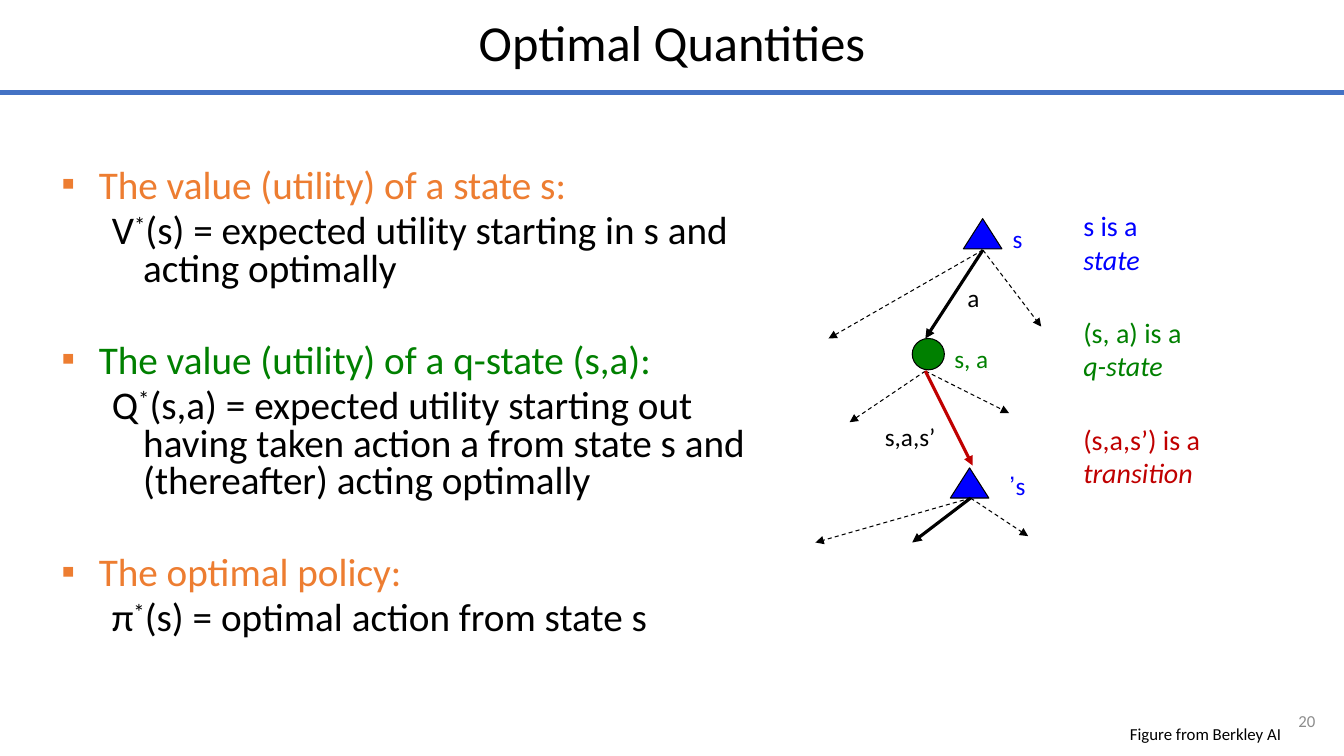
import pptx
import pptx.util
import pptx.dml.color
import pptx.enum.dml
import pptx.enum.shapes
import pptx.enum.text
import pptx.oxml.ns
from lxml import etree

Cm, Pt = pptx.util.Cm, pptx.util.Pt
RGB = pptx.dml.color.RGBColor
Align = pptx.enum.text.PP_ALIGN
Anchor = pptx.enum.text.MSO_ANCHOR
Shape = pptx.enum.shapes.MSO_SHAPE
qn = pptx.oxml.ns.qn

BLACK = RGB(0x00, 0x00, 0x00)
BLUE = RGB(0x00, 0x00, 0xFF)
GREEN = RGB(0x00, 0x80, 0x00)
RED = RGB(0xC0, 0x00, 0x00)
ORANGE = RGB(0xED, 0x7D, 0x31)
RULE = RGB(0x44, 0x72, 0xC4)
GRAY = RGB(0x8C, 0x8C, 0x8C)
FONT = "Calibri"
WIDE, HIGH = 33.87, 19.05

# Heading, its colour, symbol, rest of the definition
TOPICS = [
    ("The value (utility) of a state s:", ORANGE, "V",
     "(s) = expected utility starting in s and acting optimally"),
    ("The value (utility) of a q-state (s,a):", GREEN, "Q",
     "(s,a) = expected utility starting out having taken action a "
     "from state s and (thereafter) acting optimally"),
    ("The optimal policy:", ORANGE, "π", "(s) = optimal action from state s"),
]
# Lead text, term, colour, box width
NOTES = [
    ("s is a ", "state", BLUE, 2.92),
    ("(s, a) is a ", "q-state", GREEN, 3.61),
    ("(s,a,s’) is a \n", "transition", RED, 6.02),
]
# Text, left, top, width, colour, right to left
LABELS = [
    ("a", 24.13, 6.99, 0.81, BLACK, False),
    ("s", 25.27, 5.51, 0.81, BLUE, False),
    ("s’", 25.02, 11.73, 1.07, BLUE, True),
    ("s, a", 23.8, 8.53, 1.63, GREEN, False),
    ("s,a,s’", 22.05, 10.49, 2.29, BLACK, False),
]
NODES = [
    (Shape.ISOSCELES_TRIANGLE, (24.28, 5.51, 0.97, 0.76), BLUE),
    (Shape.ISOSCELES_TRIANGLE, (23.95, 11.79, 0.97, 0.76), BLUE),
    (Shape.OVAL, (22.99, 8.53, 0.81, 0.79), GREEN),
]
# Start, colour of the chosen branch, its end, ends of the dashed branches
FANS = [
    ((24.77, 6.3), BLACK, (23.32, 8.53), [(20.88, 8.53), (26.24, 8.23)]),
    ((23.32, 9.35), RED, (24.51, 11.73), [(21.41, 10.64), (25.43, 10.41)]),
    ((24.46, 12.55), BLACK, (22.99, 13.67), [(20.55, 13.67), (25.91, 13.51)]),
]

deck = pptx.Presentation()
deck.slide_width, deck.slide_height = Cm(WIDE), Cm(HIGH)
slide = deck.slides.add_slide(deck.slide_layouts[6])


def text(at, paras, size=18, color=BLACK, align=Align.LEFT,
         anchor=Anchor.TOP, lead=None, rtl=False):
    """Add a text box; each paragraph is a dict with runs of (text, style)."""
    frame = slide.shapes.add_textbox(*map(Cm, at)).text_frame
    frame.word_wrap = True
    frame.vertical_anchor = anchor
    for i, para in enumerate(paras):
        p = frame.paragraphs[0] if i == 0 else frame.add_paragraph()
        p.alignment, p.line_spacing = align, lead
        p.level = para.get("level", 0)
        p.space_before = Pt(para.get("gap", 0))
        props = p._p.get_or_add_pPr()
        if rtl:
            props.set("rtl", "1")
        if "left" in para:
            props.set("marL", str(Cm(para["left"])))
            props.set("indent", str(-Cm(para["hang"])))
        if "bullet" in para:
            tint = etree.SubElement(props, qn("a:buClr"))
            etree.SubElement(tint, qn("a:srgbClr"), val=str(ORANGE))
            etree.SubElement(props, qn("a:buFont"), typeface="Arial")
            etree.SubElement(props, qn("a:buChar"), char=para["bullet"])
        for words, style in para["runs"]:
            run = p.add_run()
            run.text = words.rstrip("\n")
            font = run.font
            font.name, font.size = FONT, Pt(size)
            font.color.rgb = para.get("color", color)
            if style == "italic":
                font.italic = True
            elif style == "super":
                font._element.set("baseline", "30000")
            if words.endswith("\n"):
                p.add_line_break()


def plain(words):
    return [{"runs": [(words, "")]}]


def line(start, end, color, width, dash=False, arrow=True):
    link = slide.shapes.add_connector(
        pptx.enum.shapes.MSO_CONNECTOR.STRAIGHT, *map(Cm, start + end))
    link.line.color.rgb, link.line.width = color, Pt(width)
    if dash:
        link.line.dash_style = pptx.enum.dml.MSO_LINE.DASH
    if arrow:
        etree.SubElement(link.line._get_or_add_ln(), qn("a:tailEnd"),
                         type="triangle")
    etree.SubElement(link._element.spPr, qn("a:effectLst"))


text((0, -0.05, WIDE, 2.39), plain("Optimal Quantities"), size=36,
     align=Align.CENTER, anchor=Anchor.MIDDLE, lead=0.9)
line((0, 2.34), (WIDE, 2.34), RULE, 3.75, arrow=False)
text((31.67, 17.65, 1.73, 1.02), plain("20"), size=12, color=GRAY,
     align=Align.RIGHT, anchor=Anchor.MIDDLE)
text((27.51, 18.16, 5.03, 0.69), plain("Figure from Berkley AI"), size=12,
     align=Align.RIGHT, lead=0.9)

body = []
for head, color, sign, rest in TOPICS:
    body.append({"runs": [(head, "")], "color": color, "bullet": "▪",
                 "left": 0.94, "hang": 0.94, "gap": 38.5 if body else 0})
    body.append({"runs": [(sign, ""), ("*", "super"), (rest, "")],
                 "level": 1, "left": 2.06, "hang": 0.79, "gap": 5.6})
text((1.3, 4.14, 18.62, 12.6), body, size=28, lead=0.8)

for kind, at, color in NODES:
    node = slide.shapes.add_shape(kind, *map(Cm, at))
    node.shadow.inherit = False
    node.fill.solid()
    node.fill.fore_color.rgb = color
    node.line.color.rgb, node.line.width = BLACK, Pt(0.75)

for start, color, goal, others in FANS:
    for end in others:
        line(start, end, BLACK, 0.75, dash=True)
    line(start, goal, color, 2.25)

for words, left, top, width, color, rtl in LABELS:
    text((left, top, width, 1.02), plain(words), color=color, rtl=rtl,
         align=Align.RIGHT if rtl else Align.LEFT)

for i, (words, term, color, width) in enumerate(NOTES):
    text((27.05, 5.13 + 2.69 * i, width, 1.96),
         [{"runs": [(words, ""), (term, "italic")]}], size=20, color=color)

deck.save("out.pptx")
